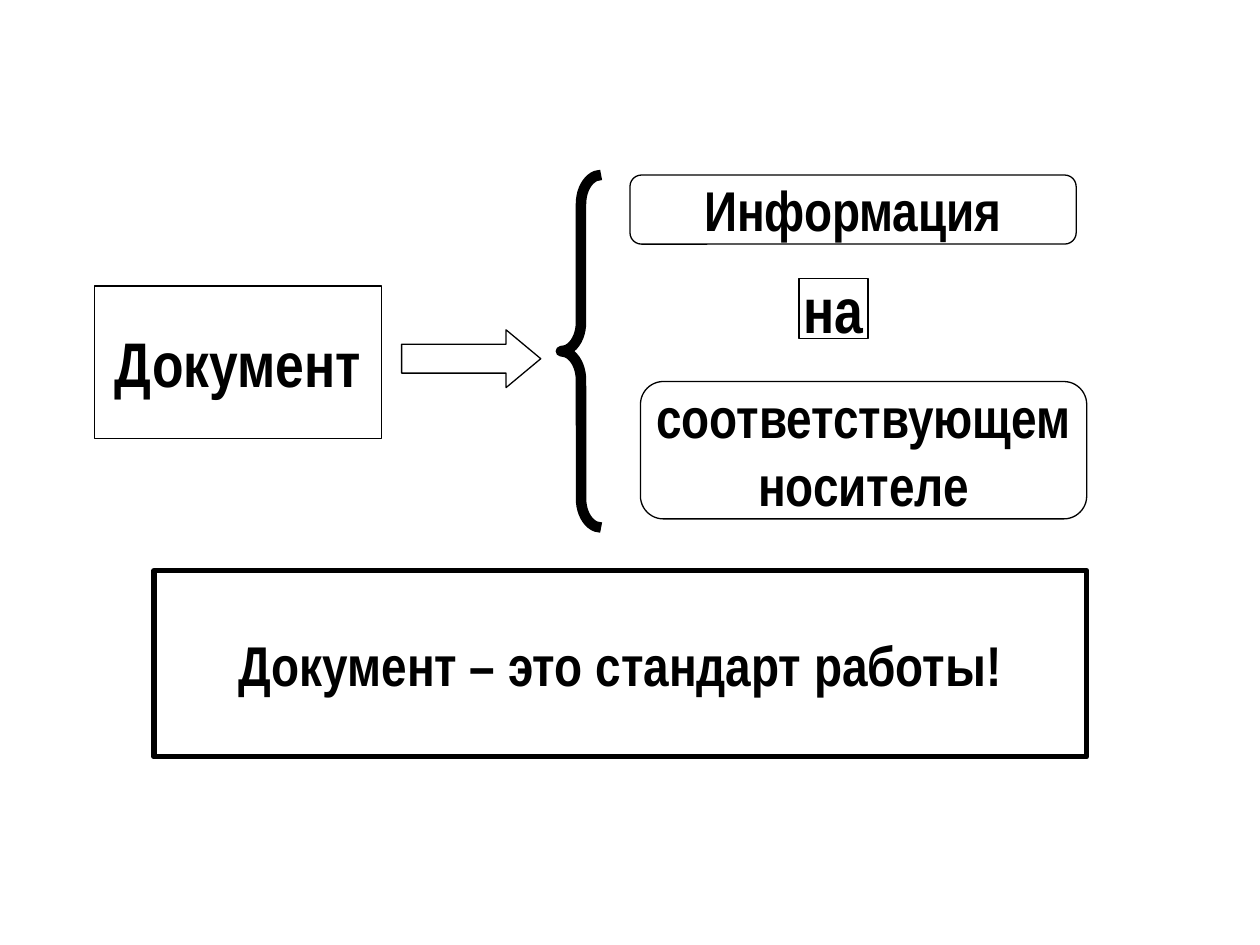
from dataclasses import dataclass

from pptx import Presentation
from pptx.dml.color import RGBColor
from pptx.enum.shapes import MSO_SHAPE
from pptx.enum.text import MSO_ANCHOR, PP_ALIGN
from pptx.util import Pt

RECT = MSO_SHAPE.RECTANGLE
ROUNDED = MSO_SHAPE.ROUNDED_RECTANGLE
ARROW = MSO_SHAPE.RIGHT_ARROW
BRACE = MSO_SHAPE.LEFT_BRACE
MIDDLE = MSO_ANCHOR.MIDDLE
CENTER = PP_ALIGN.CENTER


@dataclass(frozen=True)
class Theme:
    ink: RGBColor = RGBColor(0, 0, 0)
    font: str = "Arial Narrow"
    large: float = 36
    medium: float = 32
    thin: float = 0.75
    frame: float = 3
    brace: float = 6


THEME = Theme()


@dataclass(frozen=True)
class Box:
    left: float
    top: float
    width: float
    height: float

    def inner(self, left, top, width, height):
        return Box(self.left + left, self.top + top, width, height)


def add_outline(slide, kind, box, line=THEME.thin, adjustments=()):
    shape = slide.shapes.add_shape(
        kind, Pt(box.left), Pt(box.top), Pt(box.width), Pt(box.height)
    )
    shape.shadow.inherit = False
    shape.fill.background()
    shape.line.color.rgb = THEME.ink
    shape.line.width = Pt(line)
    for index, value in enumerate(adjustments):
        shape.adjustments[index] = value
    return shape


def write(shape, text, size=THEME.medium, bold=True, align=CENTER):
    frame = shape.text_frame
    frame.word_wrap = False
    frame.vertical_anchor = MIDDLE
    frame.text = text
    for paragraph in frame.paragraphs:
        paragraph.alignment = align
        paragraph.font.name = THEME.font
        paragraph.font.size = Pt(size)
        paragraph.font.bold = bold
        paragraph.font.color.rgb = THEME.ink


def add_definition(slide, box):
    document = add_outline(slide, RECT, box.inner(0, 63.5, 164, 87))
    write(document, "Документ", size=THEME.large)

    add_outline(slide, ARROW, box.inner(175.5, 88.5, 79.5, 33), adjustments=(0.5, 0.6))
    add_outline(
        slide, BRACE, box.inner(266.5, 0, 23, box.height),
        line=THEME.brace, adjustments=(0.72, 0.5),
    )

    information = add_outline(slide, ROUNDED, box.inner(306, 0, 255, 39.5))
    write(information, "Информация")

    link = add_outline(slide, RECT, box.inner(402.5, 59, 39.5, 34.5))
    write(link, "на", size=THEME.large)

    carrier = add_outline(slide, ROUNDED, box.inner(312, 118, 255, 78.5))
    write(carrier, "соответствующем\nносителе")


def add_conclusion(slide, box):
    conclusion = add_outline(slide, RECT, box, line=THEME.frame)
    write(conclusion, "Документ – это стандарт работы!")


def main():
    presentation = Presentation()
    presentation.slide_width = Pt(720)
    presentation.slide_height = Pt(540)
    slide = presentation.slides.add_slide(presentation.slide_layouts[6])
    add_definition(slide, Box(54, 100, 567, 201.5))
    add_conclusion(slide, Box(88, 326, 533, 106.5))
    presentation.save("out.pptx")


if __name__ == "__main__":
    main()
